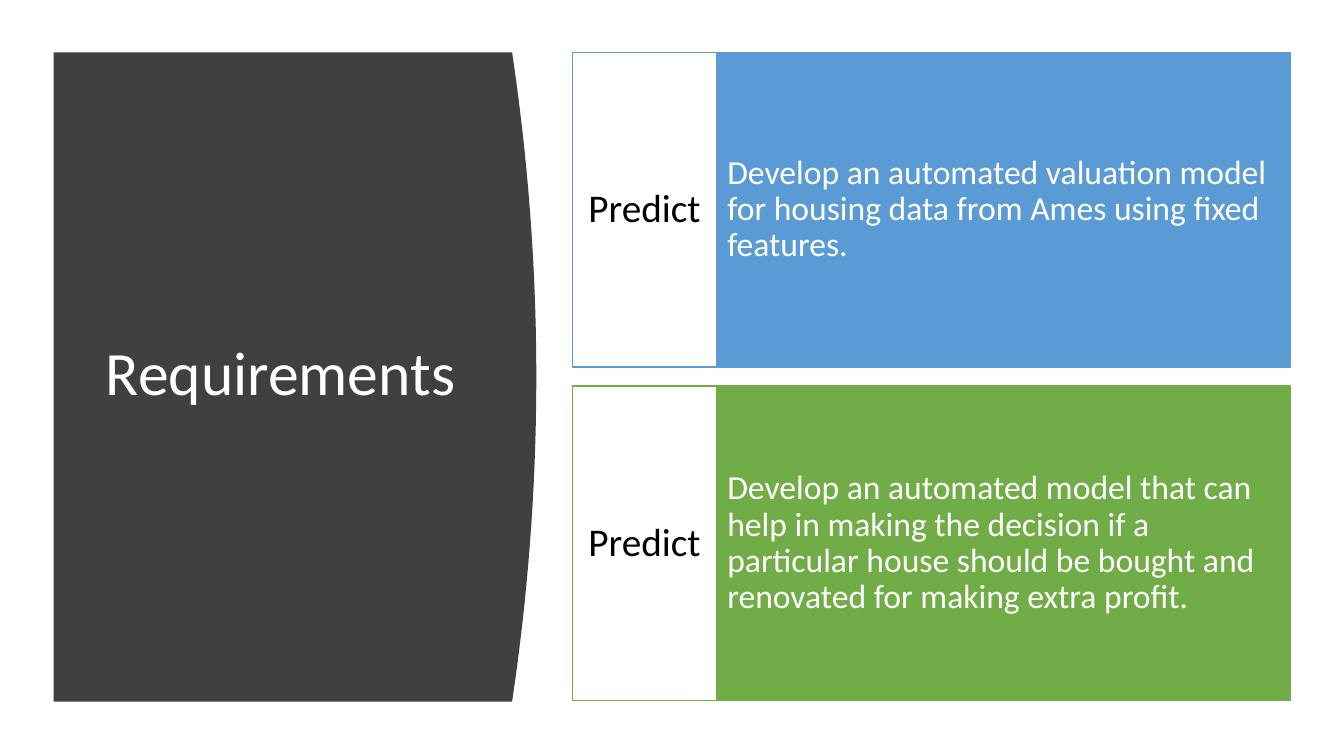
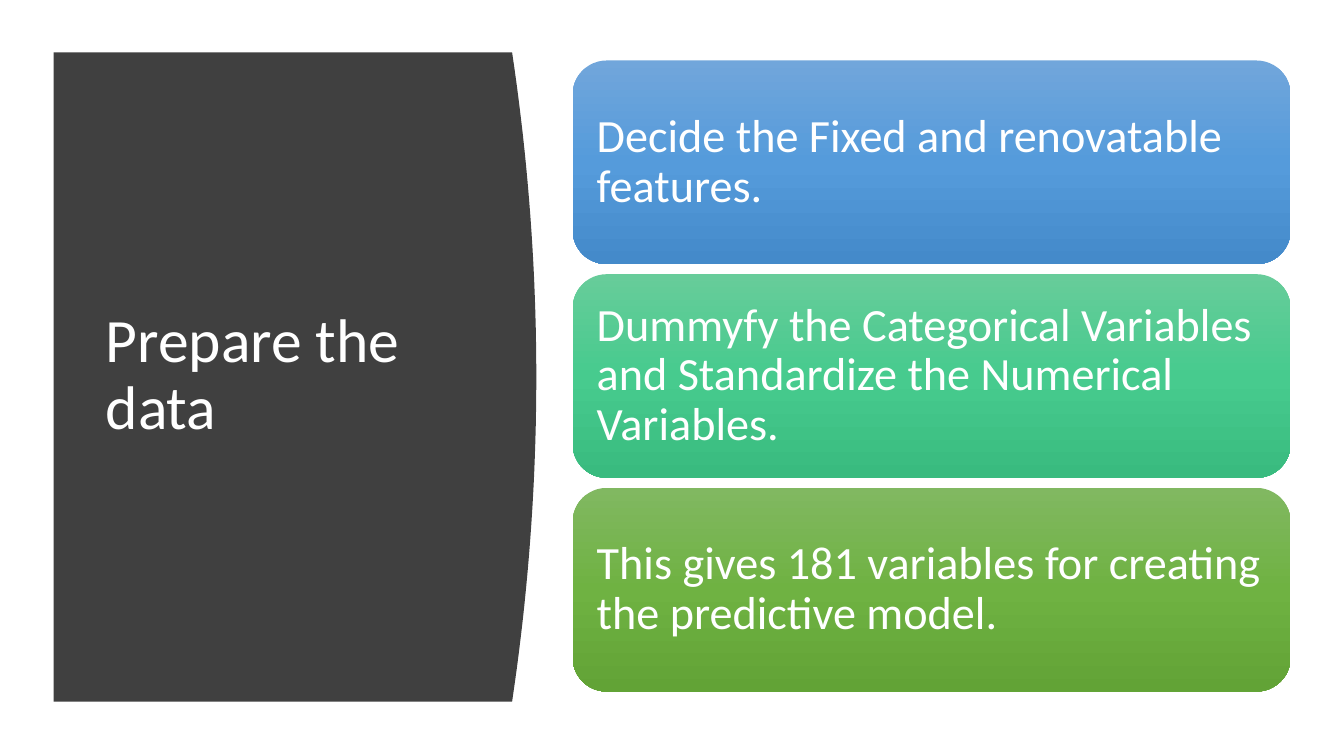
"""Build two slides that share a curved title panel: requirements and data preparation."""
from copy import deepcopy
from dataclasses import dataclass

from pptx import Presentation
from pptx.dml.color import RGBColor
from pptx.enum.shapes import MSO_SHAPE as Preset
from pptx.enum.text import MSO_ANCHOR as Anchor, PP_ALIGN as Align
from pptx.oxml.ns import qn
from pptx.util import Inches, Pt


@dataclass(frozen=True)
class Theme:
    font: str = "Calibri"
    panel: str = "404040"
    white: str = "FFFFFF"
    black: str = "000000"
    blue: str = "5B9BD5"
    green: str = "70AD47"
    blue_fade: tuple = ("71A6DB", "559BDB", "448ACA")
    teal_fade: tuple = ("67CC9A", "47CB8E", "39BB7F")
    green_fade: tuple = ("81B861", "6FB242", "62A336")
    title_size: int = 44
    card_size: int = 33
    label_size: int = 28
    body_size: int = 24


theme = Theme()


def write(box, text, size, color=theme.white, align=Align.LEFT, side=0.1, ends=0.05):
    frame = box.text_frame
    frame.word_wrap = True
    frame.vertical_anchor = Anchor.MIDDLE
    frame.margin_left = frame.margin_right = Inches(side)
    frame.margin_top = frame.margin_bottom = Inches(ends)
    para = frame.paragraphs[0]
    para.alignment = align
    para.line_spacing = 0.9
    span = para.add_run()
    span.text = text
    span.font.name = theme.font
    span.font.size = Pt(size)
    span.font.color.rgb = RGBColor.from_string(color)


def add_box(page, preset, left, top, width, height, fill=None, line=None):
    box = page.shapes.add_shape(preset, *map(Inches, (left, top, width, height)))
    box.shadow.inherit = False
    if fill:
        box.fill.solid()
        box.fill.fore_color.rgb = RGBColor.from_string(fill)
    if line:
        box.line.color.rgb = RGBColor.from_string(line)
        box.line.width = Pt(1)
    else:
        box.line.fill.background()
    return box


deck = Presentation()
wide, high = 13.33, 7.5
deck.slide_width, deck.slide_height = Inches(wide), Inches(high)

edge = 0.04 * wide
panel_top, panel_height = 0.52, 6.44
panel_right, bulge, steps = 5.08, 0.24, 40
column_left, column_width = 5.68, 7.12
label_width = 0.2 * column_width

curve = [
    (panel_right + bulge * (1 - (2 * step / steps - 1) ** 2),
     panel_top + panel_height * step / steps)
    for step in range(steps + 1)
]

pages = []
for title in ("Requirements", "Prepare the data"):
    page = deck.slides.add_slide(deck.slide_layouts[6])
    pages.append(page)
    outline = page.shapes.build_freeform(Inches(edge), Inches(panel_top), scale=1.0)
    corner = (edge, panel_top + panel_height)
    outline.add_line_segments([(Inches(x), Inches(y)) for x, y in [*curve, corner]])
    panel = outline.convert_to_shape()
    panel.shadow.inherit = False
    panel.fill.solid()
    panel.fill.fore_color.rgb = RGBColor.from_string(theme.panel)
    panel.line.fill.background()
    title_box = page.shapes.add_textbox(*map(Inches, (0.95, 1.11, 3.74, 5.24)))
    write(title_box, title, theme.title_size)

requirements, preparation = pages

goals = [
    ("Predict", theme.blue,
     "Develop an automated valuation model for housing data from Ames using fixed features."),
    ("Predict", theme.green,
     "Develop an automated model that can help in making the decision if a particular house "
     "should be bought and renovated for making extra profit."),
]
goal_height, goal_pitch = 3.12, 3.31
for row, (label, color, text) in enumerate(goals):
    top = panel_top + row * goal_pitch
    body = add_box(requirements, Preset.RECTANGLE, column_left + label_width, top,
                   column_width - label_width, goal_height, color, color)
    write(body, text, theme.body_size, side=0.11, ends=0.79)
    tag = add_box(requirements, Preset.RECTANGLE, column_left, top,
                  label_width, goal_height, theme.white, color)
    write(tag, label, theme.label_size, theme.black, Align.CENTER, side=0.08, ends=0.31)

tasks = [
    (theme.blue_fade, "Decide the Fixed and renovatable features."),
    (theme.teal_fade,
     "Dummyfy the Categorical Variables and Standardize the Numerical Variables."),
    (theme.green_fade, "This gives 181 variables for creating the predictive model."),
]
card_top, card_height, card_pitch = 0.6, 2.02, 2.12
for row, (fade, text) in enumerate(tasks):
    card = add_box(preparation, Preset.ROUNDED_RECTANGLE, column_left,
                   card_top + row * card_pitch, column_width, card_height)
    card.fill.gradient()
    card.fill.gradient_angle = 270
    stop_list = card.element.spPr.find(".//" + qn("a:gsLst"))
    stop_list.append(deepcopy(stop_list[0]))
    for place, (stop, color) in enumerate(zip(card.fill.gradient_stops, fade)):
        stop.position = place / 2
        stop.color.rgb = RGBColor.from_string(color)
    write(card, text, theme.card_size, side=0.14, ends=0.14)

deck.save("out.pptx")
